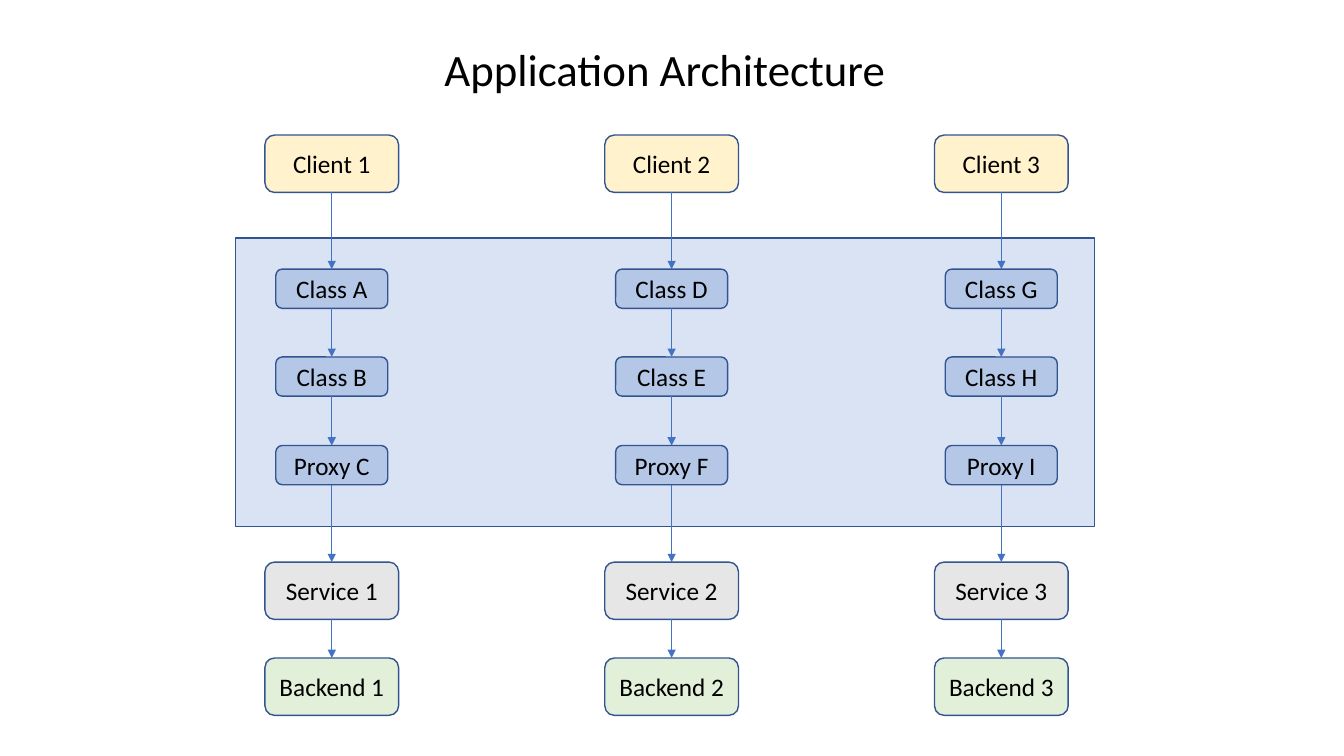
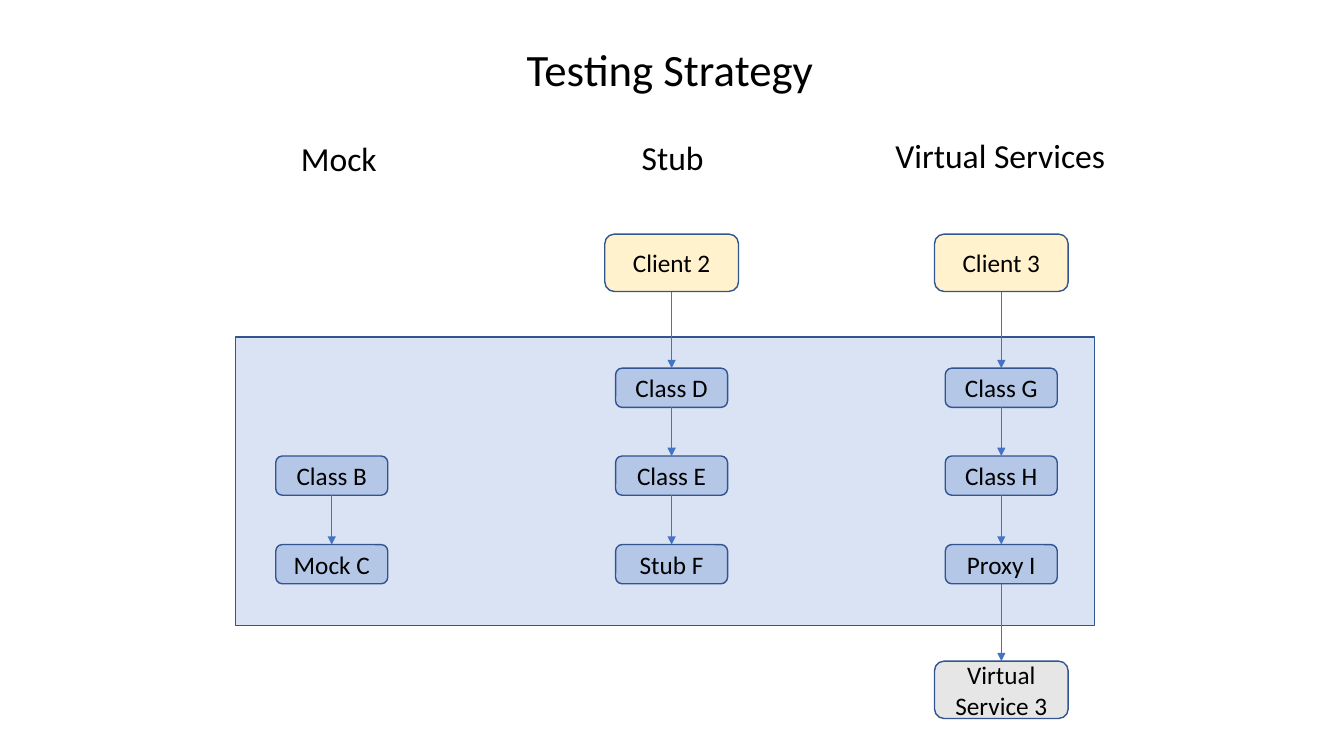
"""Build two slides: an application architecture and its testing strategy."""
from dataclasses import dataclass
from lxml.etree import SubElement
from pptx import Presentation
from pptx.dml.color import RGBColor
from pptx.enum.shapes import MSO_CONNECTOR, MSO_SHAPE
from pptx.enum.text import MSO_ANCHOR, MSO_AUTO_SIZE, PP_ALIGN
from pptx.oxml.ns import qn
from pptx.util import Pt

SLIDES = [
    {
        "title": ("Application Architecture", 475, 351),
        "headings": [],
        "shift": 0,
        "columns": [
            [("client", "Client 1"), ("first", "Class A"), ("second", "Class B"),
             ("last", "Proxy C"), ("service", "Service 1"), ("backend", "Backend 1")],
            [("client", "Client 2"), ("first", "Class D"), ("second", "Class E"),
             ("last", "Proxy F"), ("service", "Service 2"), ("backend", "Backend 2")],
            [("client", "Client 3"), ("first", "Class G"), ("second", "Class H"),
             ("last", "Proxy I"), ("service", "Service 3"), ("backend", "Backend 3")],
        ],
    },
    {
        "title": ("Testing Strategy", 478.5, 237),
        "headings": [("Mock", 242, 95, 70.5), ("Stub", 480.5, 94.5, 61),
                     ("Virtual Services", 714.5, 93, 168)],
        "shift": 70.75,
        "columns": [
            [("second", "Class B"), ("last", "Mock C")],
            [("client", "Client 2"), ("first", "Class D"), ("second", "Class E"),
             ("last", "Stub F")],
            [("client", "Client 3"), ("first", "Class G"), ("second", "Class H"),
             ("last", "Proxy I"), ("service", "Virtual Service 3")],
        ],
    },
]


@dataclass(frozen=True)
class Theme:
    """Colours and type sizes."""
    font: str = "Calibri"
    title: int = 32
    heading: int = 24
    label: int = 18
    text: str = "000000"
    paper: str = "FFFFFF"
    panel: str = "DAE3F3"
    outline: str = "325491"
    arrow: str = "4472C4"
    client: str = "FFF2CC"
    code: str = "B4C7E7"
    service: str = "E7E6E6"
    backend: str = "E2F0D9"


THEME = Theme()
LARGE, SMALL = (95.5, 41), (80, 28)
LAYERS = {
    "client": (96.5, LARGE, THEME.client),
    "first": (192.25, SMALL, THEME.code),
    "second": (255, SMALL, THEME.code),
    "last": (318.25, SMALL, THEME.code),
    "service": (401.5, LARGE, THEME.service),
    "backend": (470, LARGE, THEME.backend),
}
CENTERS = (237, 479.75, 715.25)
PANEL = (168, 170, 614, 206)
TOP_SITE, BOTTOM_SITE = 0, 2


def paint(fill, color):
    fill.solid()
    fill.fore_color.rgb = RGBColor.from_string(color)


def write(tf, text, size):
    p = tf.paragraphs[0]
    p.alignment = PP_ALIGN.CENTER
    r = p.add_run()
    r.text = text
    r.font.name = THEME.font
    r.font.size = Pt(size)
    r.font.color.rgb = RGBColor.from_string(THEME.text)


def add_caption(s, text, size, center, top, width, height):
    sp = s.shapes.add_textbox(Pt(center - width / 2), Pt(top), Pt(width), Pt(height))
    paint(sp.fill, THEME.paper)
    tf = sp.text_frame
    tf.word_wrap = False
    tf.auto_size = MSO_AUTO_SIZE.SHAPE_TO_FIT_TEXT
    write(tf, text, size)


def add_box(shapes, kind, box, color):
    sp = shapes.add_shape(kind, *(Pt(v) for v in box))
    sp.shadow.inherit = False
    paint(sp.fill, color)
    paint(sp.line.fill, THEME.outline)
    sp.line.width = Pt(1)
    return sp


def add_node(shapes, layer, text, center, shift):
    top, (width, height), color = LAYERS[layer]
    box = (center - width / 2, top + shift, width, height)
    sp = add_box(shapes, MSO_SHAPE.ROUNDED_RECTANGLE, box, color)
    tf = sp.text_frame
    tf.word_wrap = True
    tf.vertical_anchor = MSO_ANCHOR.MIDDLE
    write(tf, text, THEME.label)
    return sp


def add_arrow(shapes, upper, lower):
    line = shapes.add_connector(MSO_CONNECTOR.STRAIGHT, 0, 0, 0, 0)
    line.begin_connect(upper, BOTTOM_SITE)
    line.end_connect(lower, TOP_SITE)
    paint(line.line.fill, THEME.arrow)
    line.line.width = Pt(0.5)
    SubElement(line.line._get_or_add_ln(), qn("a:tailEnd"), type="triangle")
    SubElement(line._element.spPr, qn("a:effectLst"))


def add_column(s, nodes, center, shift):
    shapes = s.shapes.add_group_shape().shapes
    boxes = [add_node(shapes, layer, text, center, shift) for layer, text in nodes]
    for upper, lower in zip(boxes, boxes[1:]):
        add_arrow(shapes, upper, lower)


def add_slide(prs, content):
    s = prs.slides.add_slide(prs.slide_layouts[6])
    shift = content["shift"]
    left, top, width, height = PANEL
    add_box(s.shapes, MSO_SHAPE.RECTANGLE, (left, top + shift, width, height), THEME.panel)
    text, center, width = content["title"]
    add_caption(s, text, THEME.title, center, 26, width, 46)
    for nodes, center in zip(content["columns"], CENTERS):
        add_column(s, nodes, center, shift)
    for text, center, top, width in content["headings"]:
        add_caption(s, text, THEME.heading, center, top, width, 36)


prs = Presentation()
prs.slide_width, prs.slide_height = Pt(960), Pt(540)
for content in SLIDES:
    add_slide(prs, content)
prs.save("out.pptx")
